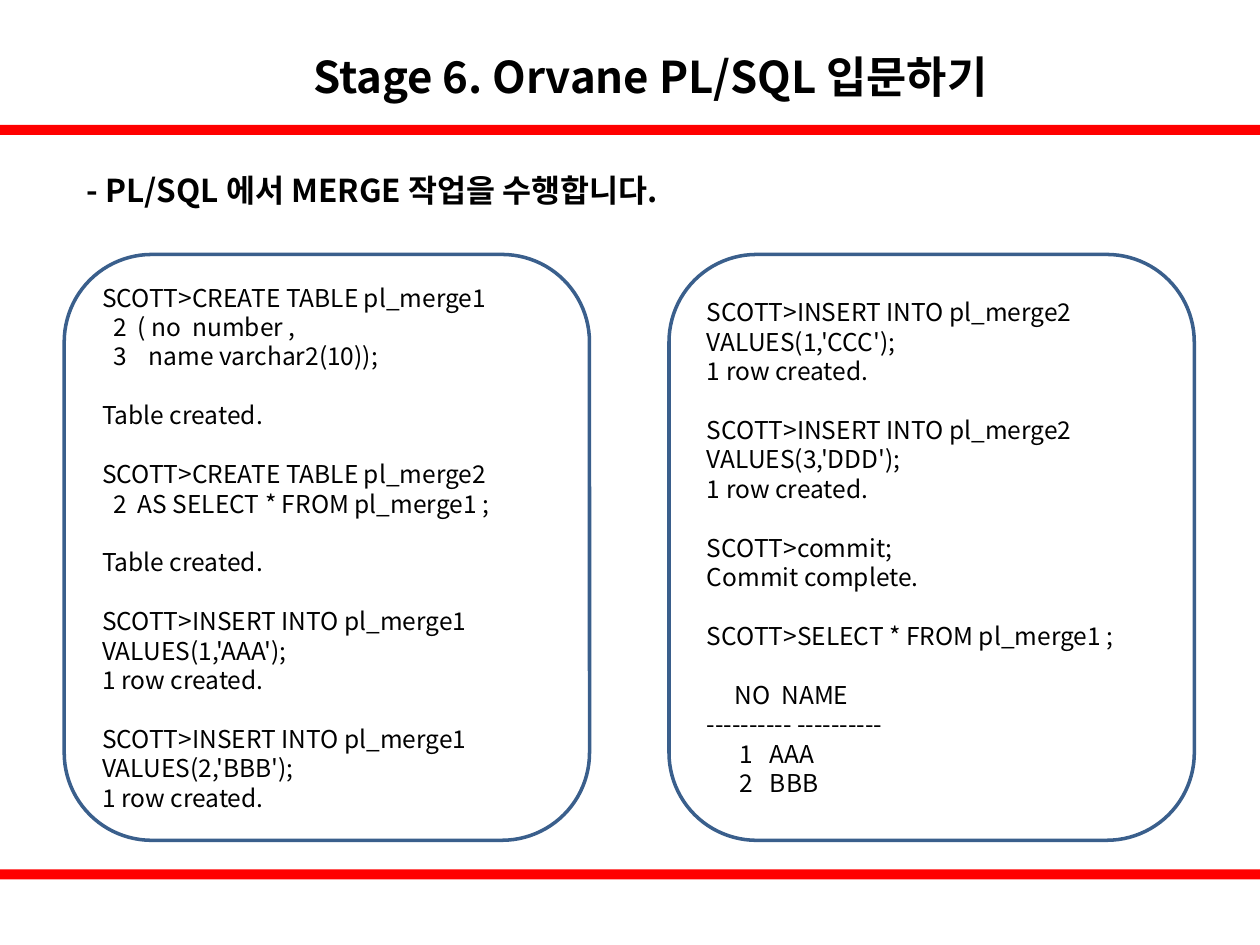
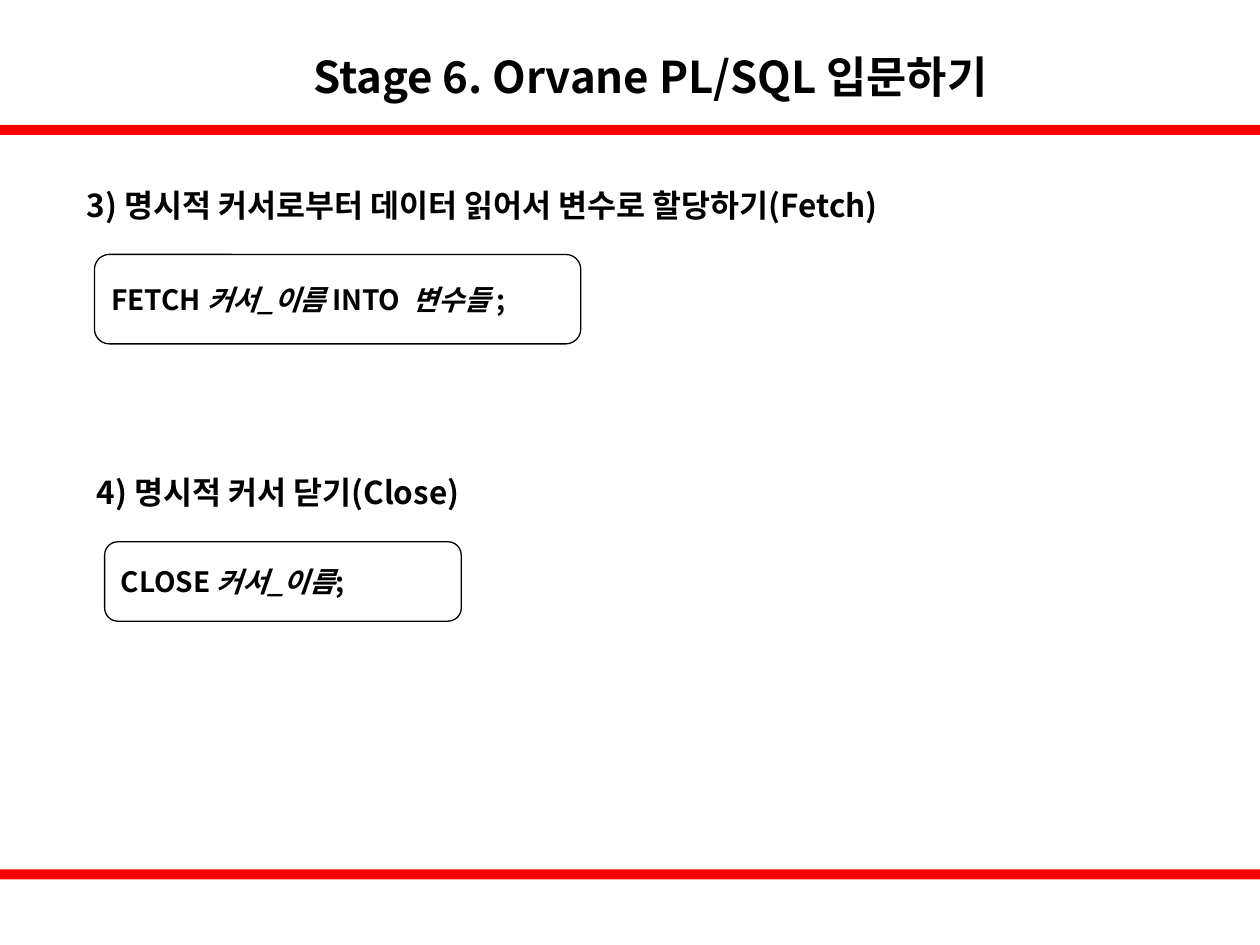
from dataclasses import dataclass

from lxml import etree
from pptx import Presentation
from pptx.dml.color import RGBColor
from pptx.enum.shapes import MSO_SHAPE
from pptx.enum.text import MSO_ANCHOR, PP_ALIGN
from pptx.oxml.ns import qn
from pptx.util import Pt


@dataclass(frozen=True)
class Theme:
    font: str = "Noto Sans CJK KR"
    ink: RGBColor = RGBColor(0x00, 0x00, 0x00)
    paper: RGBColor = RGBColor(0xFF, 0xFF, 0xFF)
    band: RGBColor = RGBColor(0xFF, 0x00, 0x00)
    session_line: RGBColor = RGBColor(0x3A, 0x5F, 0x8C)
    title: float = 25
    heading: float = 18
    syntax: float = 16
    session: float = 14
    session_pitch: float = 16.8


T = Theme()
WIDTH, HEIGHT = 720, 540
TITLE = "Stage 6. Orvane PL/SQL 입문하기"

TABLE_SESSION = [
    ["SCOTT>CREATE TABLE pl_merge1", "  2  ( no  number ,",
     "  3    name varchar2(10));"],
    ["Table created."],
    ["SCOTT>CREATE TABLE pl_merge2", "  2  AS SELECT * FROM pl_merge1 ;"],
    ["Table created."],
    ["SCOTT>INSERT INTO pl_merge1 VALUES(1,'AAA');", "1 row created."],
    ["SCOTT>INSERT INTO pl_merge1 VALUES(2,'BBB');", "1 row created."],
]
INSERT_SESSION = [
    ["SCOTT>INSERT INTO pl_merge2 VALUES(1,'CCC');", "1 row created."],
    ["SCOTT>INSERT INTO pl_merge2 VALUES(3,'DDD');", "1 row created."],
    ["SCOTT>commit;", "Commit complete."],
    ["SCOTT>SELECT * FROM pl_merge1 ;"],
    ["     NO  NAME", "---------- ----------", "      1   AAA", "      2   BBB"],
]


def add_run(p, text, size, bold=False, italic=False):
    r = p.add_run()
    r.text = text
    f = r.font
    f.name, f.size, f.bold, f.italic = T.font, Pt(size), bold, italic
    f.color.rgb = T.ink
    # Korean glyphs take the same typeface
    ea = etree.SubElement(r.font._element, qn("a:ea"))
    ea.set("typeface", T.font)


def add_box(s, box, kind, fill=None, line=None, weight=0.75):
    sp = s.shapes.add_shape(kind, *map(Pt, box))
    sp.shadow.inherit = False
    if fill is None:
        sp.fill.background()
    else:
        sp.fill.solid()
        sp.fill.fore_color.rgb = fill
    if line is None:
        sp.line.fill.background()
    else:
        sp.line.color.rgb = line
        sp.line.width = Pt(weight)
    return sp


def prepare_text(sp):
    tf = sp.text_frame
    tf.word_wrap = True
    tf.vertical_anchor = MSO_ANCHOR.MIDDLE
    return tf


def add_heading(s, box, text, size=T.heading):
    tf = prepare_text(s.shapes.add_textbox(*map(Pt, box)))
    p = tf.paragraphs[0]
    add_run(p, text, size, bold=True)
    return p


def add_frame(s):
    # Red bands above and below the content
    for top in (71.3, 496.8):
        add_box(s, (0, top, WIDTH, 5.76), MSO_SHAPE.RECTANGLE, fill=T.band)
    # Course title
    p = add_heading(s, (99.4, 0, 544.3, 71.3), TITLE, T.title)
    p.alignment = PP_ALIGN.CENTER
    p.line_spacing = 1.5


def add_session(s, box, blocks):
    """Console session; each block starts one line below the previous one."""
    sp = add_box(s, box, MSO_SHAPE.ROUNDED_RECTANGLE,
                 line=T.session_line, weight=2)
    tf = prepare_text(sp)
    p = tf.paragraphs[0]
    for b, block in enumerate(blocks):
        for n, text in enumerate(block):
            if b or n:
                p = tf.add_paragraph()
            if b and n == 0:
                p.space_before = Pt(T.session_pitch)
            p.alignment = PP_ALIGN.LEFT
            p.line_spacing = Pt(T.session_pitch)
            add_run(p, text, T.session)


def add_syntax(s, box, parts):
    """Syntax card; every second part is an italic placeholder name."""
    sp = add_box(s, box, MSO_SHAPE.ROUNDED_RECTANGLE,
                 fill=T.paper, line=T.ink)
    p = prepare_text(sp).paragraphs[0]
    p.alignment = PP_ALIGN.JUSTIFY
    for i, text in enumerate(parts):
        add_run(p, text, T.syntax, bold=True, italic=i % 2 == 1)


def new_slide(prs):
    s = prs.slides.add_slide(prs.slide_layouts[6])
    add_frame(s)
    return s


def merge_slide(prs):
    s = new_slide(prs)
    add_heading(s, (42.5, 88.6, 447.8, 39.6),
                "- PL/SQL 에서 MERGE 작업을 수행합니다.")
    # Two equal sessions side by side
    left, top, width, height, gap = 36.7, 145.4, 300.2, 334.8, 45.4
    for i, blocks in enumerate((TABLE_SESSION, INSERT_SESSION)):
        add_session(s, (left + i * (width + gap), top, width, height), blocks)


def cursor_slide(prs):
    s = new_slide(prs)
    # Fetch step
    add_heading(s, (42.5, 94.3, 555.8, 45.4),
                "3) 명시적 커서로부터 데이터 읽어서 변수로 할당하기(Fetch)")
    add_syntax(s, (54, 145.4, 277.9, 51.1),
               ["FETCH ", "커서_이름 ", "INTO  ", "변수들 ", ";"])
    # Close step
    add_heading(s, (48.2, 258.5, 532.8, 45.4), "4) 명시적 커서 닫기(Close)")
    add_syntax(s, (59.8, 309.6, 203.8, 45.4), ["CLOSE ", "커서_이름", ";"])


def main():
    prs = Presentation()
    prs.slide_width, prs.slide_height = Pt(WIDTH), Pt(HEIGHT)
    merge_slide(prs)
    cursor_slide(prs)
    prs.save("out.pptx")


if __name__ == "__main__":
    main()
